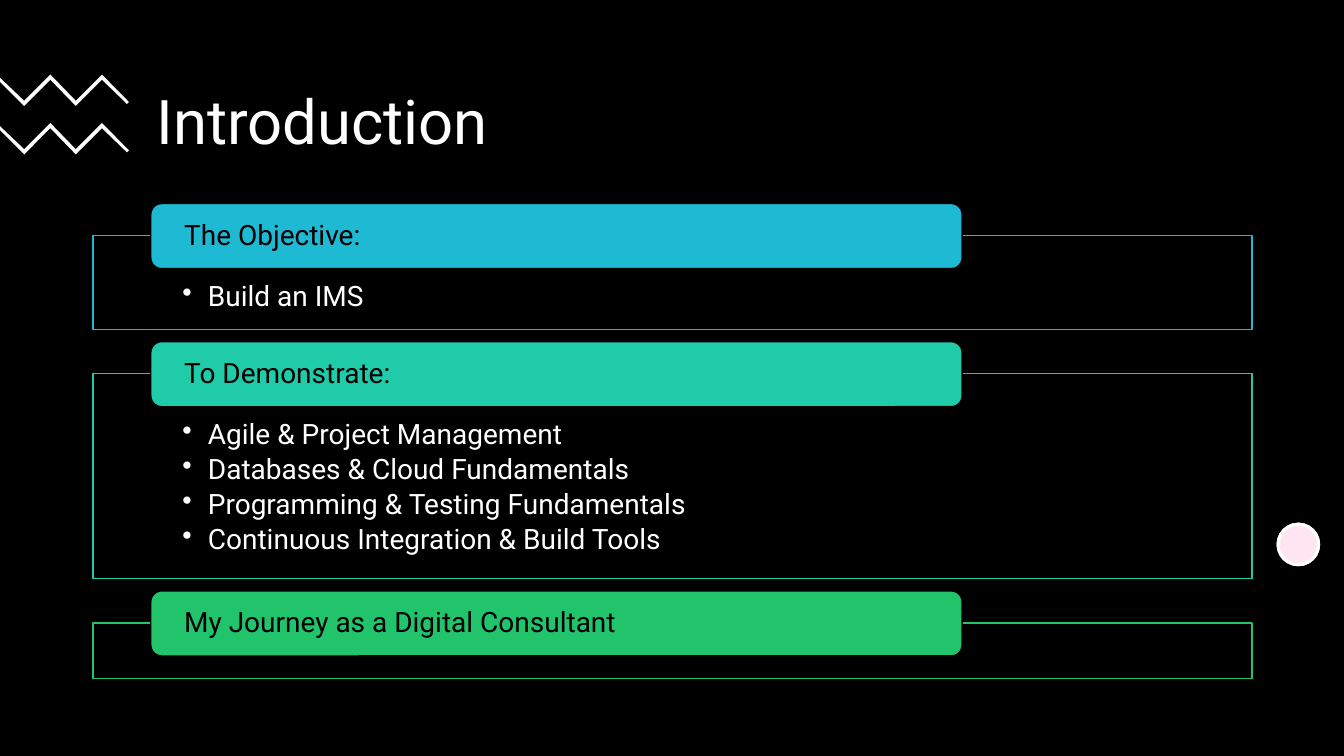
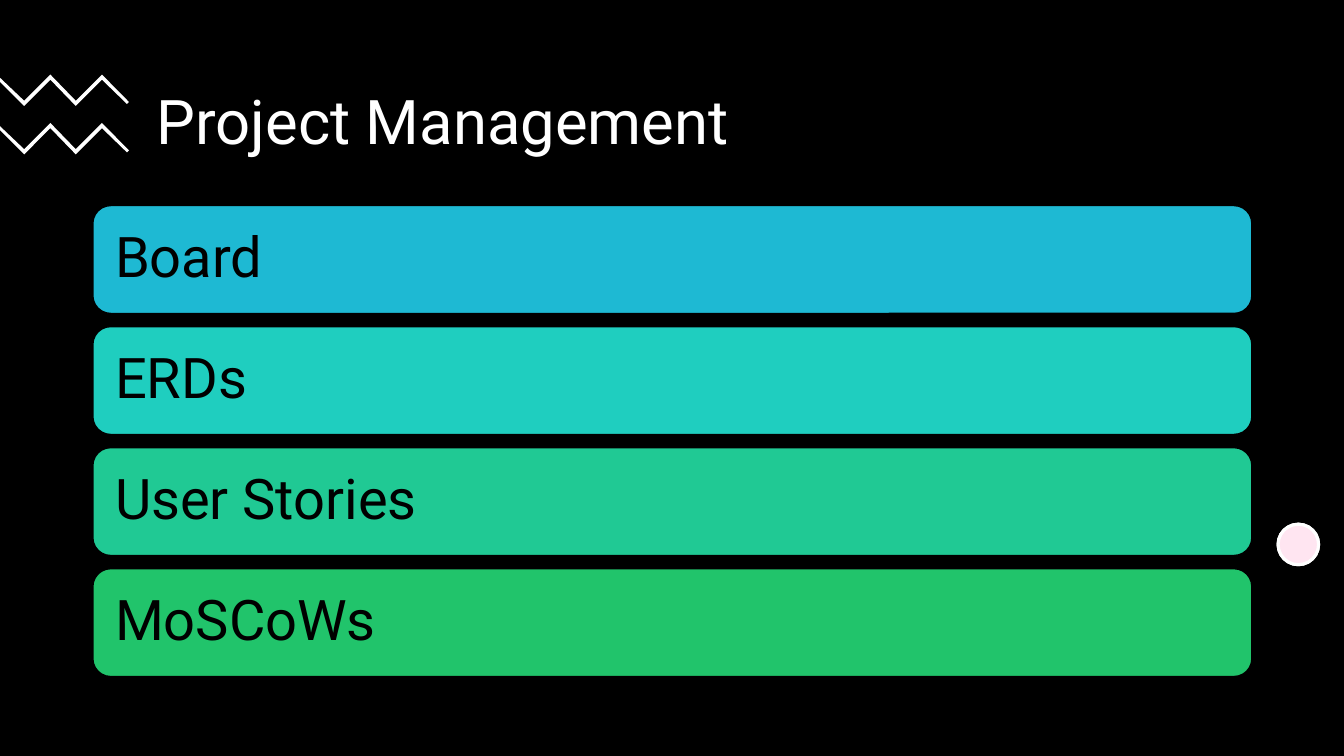
from lxml import etree
from pptx import Presentation
from pptx.dml.color import RGBColor
from pptx.enum.shapes import MSO_SHAPE
from pptx.enum.text import MSO_ANCHOR, PP_ALIGN
from pptx.oxml.ns import qn
from pptx.util import Cm, Pt

RECT, ROUND, OVAL = MSO_SHAPE.RECTANGLE, MSO_SHAPE.ROUNDED_RECTANGLE, MSO_SHAPE.OVAL
TOP, MIDDLE = MSO_ANCHOR.TOP, MSO_ANCHOR.MIDDLE
LEFT = PP_ALIGN.LEFT

FONT = "Roboto"
COLORS = {
    "black": "000000",
    "white": "FFFFFF",
    "pink": "FF80BD",
    "blue": "1EB9D3",
    "turquoise": "1FCEBF",
    "teal": "20CBA9",
    "mint": "20C994",
    "green": "21C46B",
}
ZIGZAG = [(0, 0.08), (0.61, 0.66), (1.27, 0), (1.91, 0.66), (2.57, 0), (3.25, 0.69),
          (3.2, 0.74), (2.57, 0.13), (1.91, 0.79), (1.27, 0.13), (0.61, 0.79), (0, 0.18)]
BODY_X, BODY_W = 2.34, 29.21

prs = Presentation()
prs.slide_width, prs.slide_height = Cm(33.87), Cm(19.05)


def rgb(name):
    return RGBColor.from_string(COLORS[name])


def paint(sp, fill, line=None, width=1, alpha=None):
    sp.shadow.inherit = False
    sp.fill.solid()
    sp.fill.fore_color.rgb = rgb(fill)
    if alpha:
        color = sp.fill._xPr.find(qn("a:solidFill"))[0]
        etree.SubElement(color, qn("a:alpha"), val=str(alpha * 1000))
    if line:
        sp.line.color.rgb = rgb(line)
        sp.line.width = Pt(width)
    else:
        sp.line.fill.background()


def add_box(s, kind, x, y, w, h, fill, line, **style):
    sp = s.shapes.add_shape(kind, Cm(x), Cm(y), Cm(w), Cm(h))
    paint(sp, fill, line, **style)
    return sp


def write(sp, lines, size, color, anchor=MIDDLE, insets=(0.25, 0.13), after=0, bullet=False):
    tf = sp.text_frame
    tf.word_wrap = True
    tf.vertical_anchor = anchor
    tf.margin_left = tf.margin_right = Cm(insets[0])
    tf.margin_top = tf.margin_bottom = Cm(insets[1])
    for i, text in enumerate(lines):
        p = tf.paragraphs[0] if i == 0 else tf.add_paragraph()
        p.alignment = LEFT
        p.line_spacing = 0.9
        p.space_after = Pt(after)
        if bullet:
            pPr = p._p.get_or_add_pPr()
            pPr.set("marL", str(Cm(0.64)))
            pPr.set("indent", str(Cm(-0.64)))
            etree.SubElement(pPr, qn("a:buChar"), char="•")
        r = p.add_run()
        r.text = text
        r.font.name = FONT
        r.font.size = Pt(size)
        r.font.color.rgb = rgb(color)


def add_zigzag(s, x, y):
    points = [(Cm(x + dx), Cm(y + dy)) for dx, dy in ZIGZAG]
    builder = s.shapes.build_freeform(*points[0])
    builder.add_line_segments(points[1:], close=True)
    paint(builder.convert_to_shape(), "white")


def add_base(title):
    s = prs.slides.add_slide(prs.slide_layouts[6])
    s.background.fill.solid()
    s.background.fill.fore_color.rgb = rgb("black")
    write(s.shapes.add_textbox(Cm(3.7), Cm(1.57), Cm(27.08), Cm(3.12)), [title], 44, "white")
    for y in (1.88, 3.1):
        add_zigzag(s, 0, y)
    for fill, alpha in (("white", None), ("pink", 20)):
        add_box(s, OVAL, 32.21, 13.21, 1.02, 1.02, fill, "white", width=2.25, alpha=alpha)
    return s


def add_section(s, x, y, w, h, color, heading, bullets):
    frame = add_box(s, RECT, x, y, w, h, "black", color, alpha=90)
    if bullets:
        write(frame, bullets, 20, "white", anchor=TOP, insets=(2.26, 1.17),
              after=3.5, bullet=True)
    tab = add_box(s, ROUND, x + 1.46, y - 0.81, w * 0.7, 1.64, color, "black")
    write(tab, [heading], 20, "black", insets=(0.76, 0))


def sections_slide(title, sections, y=5.94, gap=1.12):
    s = add_base(title)
    for color, height, heading, bullets in sections:
        add_section(s, BODY_X, y, BODY_W, height, color, heading, bullets)
        y += height + gap


def bars_slide(title, bars, y=5.18, height=2.72, pitch=3.05):
    s = add_base(title)
    for i, (color, text) in enumerate(bars):
        bar = add_box(s, ROUND, BODY_X, y + i * pitch, BODY_W, height, color, "black")
        write(bar, [text], 40, "black", insets=(0.43, 0.43))


sections_slide("Introduction", [
    ("blue", 2.36, "The Objective:", ["Build an IMS"]),
    ("teal", 5.16, "To Demonstrate:", [
        "Agile & Project Management",
        "Databases & Cloud Fundamentals",
        "Programming & Testing Fundamentals",
        "Continuous Integration & Build Tools",
    ]),
    ("green", 1.4, "My Journey as a Digital Consultant", []),
])
bars_slide("Project Management", [
    ("blue", "Board"),
    ("turquoise", "ERDs"),
    ("mint", "User Stories"),
    ("green", "MoSCoWs"),
])

prs.save("out.pptx")
